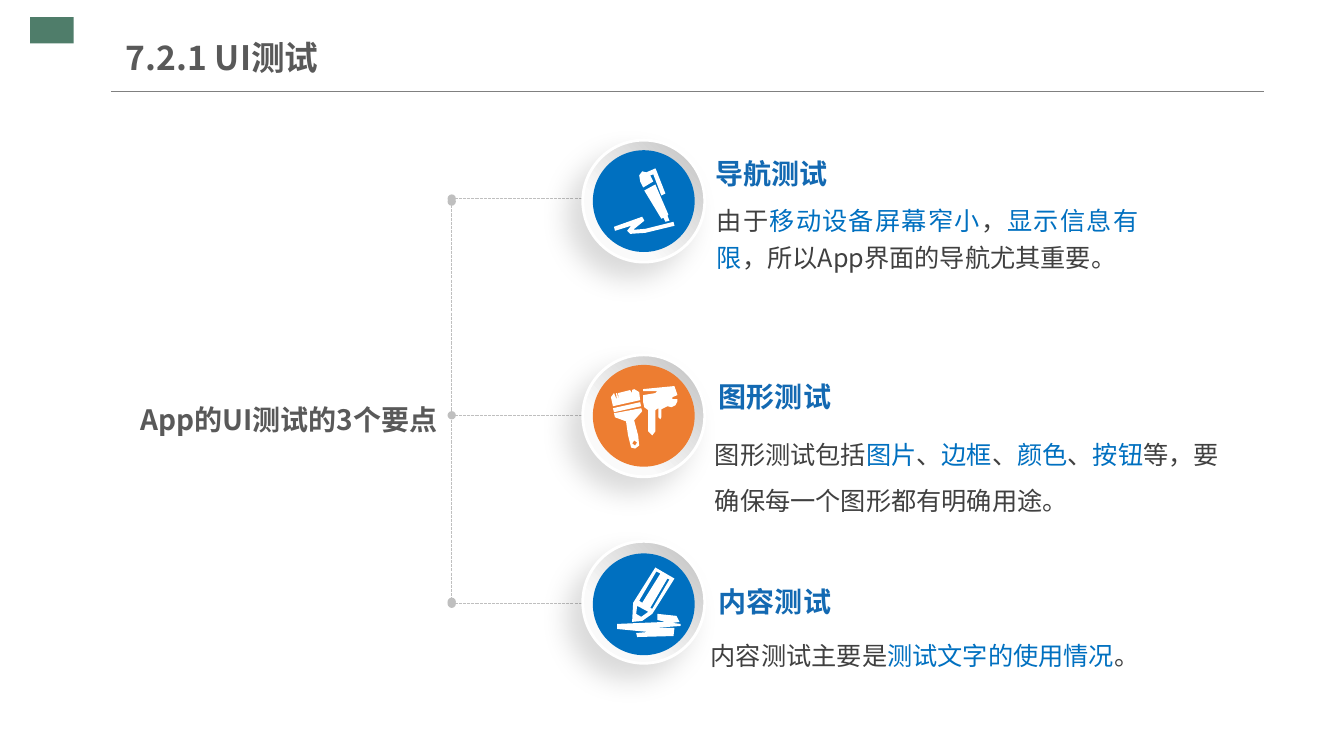
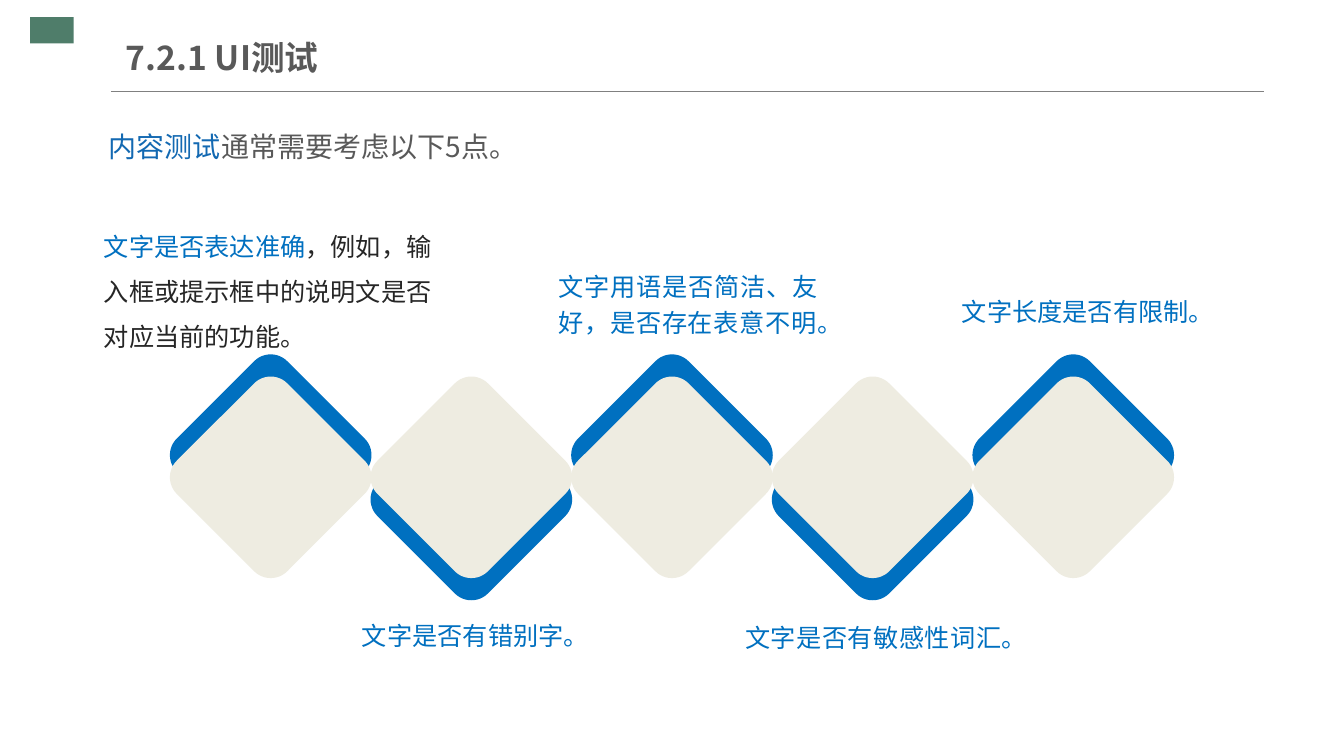
from dataclasses import dataclass

from lxml import etree
from pptx import Presentation
from pptx import util as u
from pptx.dml.color import RGBColor
from pptx.enum import dml, shapes, text
from pptx.oxml import ns

PX = 9144  # EMU per px, 100 px to the inch


@dataclass(frozen=True)
class Theme:
    font: str = "Noto Sans CJK SC"
    green: str = "4F7D6A"
    rule: str = "808080"
    dash: str = "BFBFBF"
    grey: str = "595959"
    body: str = "404040"
    dark: str = "262626"
    blue: str = "0070C0"
    heading: str = "1369B2"
    orange: str = "ED7D31"
    cream: str = "EEECE1"
    white: str = "FFFFFF"
    ring_end: str = "FAFAFA"
    title_size: int = 24
    heading_size: int = 20
    body_size: int = 18


T = Theme()

# ---- Content: icons are lists of outlines in px ----
PEN = [
    [(639, 189), (650, 183), (663, 213), (662, 214), (664, 219), (660, 220),
     (658, 216), (656, 217)],
    [(609, 225), (610, 229), (626, 224), (622, 229), (625, 232), (640, 231),
     (669, 224), (668, 220), (640, 227), (628, 228), (639, 219), (637, 215)],
    [(641, 171), (637, 170), (634, 174), (635, 180), (638, 186), (648, 180),
     (645, 174), (648, 173), (656, 194), (660, 192), (651, 169), (650, 167),
     (648, 168)],
]
BRUSHES = [
    [(656, 406), (656, 414), (655, 416), (653, 414), (653, 405), (650, 407),
     (650, 428), (647, 432), (643, 428), (643, 407), (639, 404), (638, 399),
     (638, 392), (650, 390), (652, 388), (638, 388), (638, 386), (669, 383),
     (672, 392), (667, 394), (667, 396), (672, 396), (672, 398), (670, 402),
     (666, 404), (662, 403)],
    [(608, 405), (635, 399), (636, 403), (609, 409)],
    [(636, 405), (609, 410), (610, 414), (621, 418), (623, 432), (626, 444),
     (630, 445), (634, 442), (633, 432), (629, 417), (637, 408)],
    [(629, 437), (632, 439), (630, 442), (627, 440)],
    [(635, 397), (634, 389), (629, 386), (627, 387), (627, 390), (625, 387),
     (613, 390), (614, 397), (612, 390), (611, 390), (612, 397), (609, 390),
     (606, 394), (608, 403)],
]
PENCIL = [
    [(650, 563), (669, 574), (647, 609), (637, 616), (627, 617), (628, 598)],
    [(668, 631), (669, 623), (648, 623), (675, 621), (675, 619), (667, 618),
     (674, 617), (671, 611), (652, 609), (652, 615), (660, 617), (612, 619),
     (612, 624), (643, 627), (631, 628), (632, 632)],
    [(636, 612), (643, 607), (632, 601), (631, 609)],
    [(662, 574), (645, 603), (647, 604), (664, 575)],
    [(651, 567), (634, 596), (637, 598), (655, 569)],
]

TITLE = "7.2.1 UI测试"
SUBJECT = "App的UI测试的3个要点"
POINTS = [
    dict(heading="导航测试", heading_at=(710, 139), line_y=197, ring_y=139,
         disc_y=149, color=T.blue, icon=PEN, body_box=(711, 198, 418, 73),
         spacing=1.2, align="JUSTIFY",
         body=[("由于", T.body), ("移动设备屏幕窄小", T.blue), ("，", T.body),
               ("显示信息有限", T.blue), ("，所以App界面的导航尤其重要。", T.body)]),
    dict(heading="图形测试", heading_at=(713, 360), line_y=412, ring_y=352,
         disc_y=362, color=T.orange, icon=BRUSHES, body_box=(709, 421, 506, 91),
         spacing=1.5, align="LEFT",
         body=[("图形测试包括", T.body), ("图片", T.blue), ("、", T.body),
               ("边框", T.blue), ("、", T.body), ("颜色", T.blue), ("、", T.body),
               ("按钮", T.blue), ("等，要确保每一个图形都有明确用途。", T.body)]),
    dict(heading="内容测试", heading_at=(713, 563), line_y=599, ring_y=537,
         disc_y=549, color=T.blue, icon=PENCIL, body_box=(705, 620, 453, 46),
         spacing=1.5, align="LEFT",
         body=[("内容测试主要是", T.body), ("测试文字的使用情况", T.blue),
               ("。", T.body)]),
]
SPINE_X, SPINE_ENDS, BRANCH_END = 448, (200, 597), 642
RING_X, RING, DISC = 578, 121, 101

INTRO = [("内容测试", T.heading), ("通常需要考虑以下5点。", T.grey)]
CHECKS = [  # box, line spacing, alignment, runs
    ((103, 214, 330, 136), 1.5, "LEFT",
     [("文字是否表达准确", T.blue),
      ("，例如，输入框或提示框中的说明文是否对应当前的功能。", T.dark)]),
    ((359, 609, 255, 33), 1.2, "JUSTIFY", [("文字是否有错别字。", T.blue)]),
    ((554, 263, 257, 72), 1.2, "JUSTIFY",
     [("文字用语是否简洁、友好，是否存在表意不明。", T.blue)]),
    ((739, 611, 255, 33), 1.2, "JUSTIFY", [("文字是否有敏感性词汇。", T.blue)]),
    ((954, 288, 255, 33), 1.2, "JUSTIFY", [("文字长度是否有限制。", T.blue)]),
]
TILE_X, TILE_Y, TILE, TILE_STEP, TILE_SHIFT = 191, 396, 155, 199, 22


# ---- Drawing helpers ----
def px(*lengths):
    return [u.Emu(n * PX) for n in lengths]


def rgb(color):
    return RGBColor.from_string(color)


def add_xml(parent, tag, **attributes):
    return etree.SubElement(parent, ns.qn(tag), attributes)


def paint(shape, color):
    shape.shadow.inherit = False
    shape.fill.solid()
    shape.fill.fore_color.rgb = rgb(color)
    shape.line.fill.background()


def add_block(slide, kind, box, color):
    block = slide.shapes.add_shape(kind, *px(*box))
    paint(block, color)
    return block


def add_line(slide, start, end, color, dotted=False):
    line = slide.shapes.add_connector(shapes.MSO_CONNECTOR.STRAIGHT,
                                      *px(*start, *end))
    line.line.color.rgb = rgb(color)
    line.line.width = u.Pt(0.75)
    if dotted:
        line.line.dash_style = dml.MSO_LINE.SQUARE_DOT
        stroke = line.line._get_or_add_ln()
        for tag in ("a:headEnd", "a:tailEnd"):
            add_xml(stroke, tag, type="oval")
    add_xml(line._element.spPr, "a:effectLst")


def add_text(slide, box, runs, size, bold=False, spacing=1.0, align="LEFT",
             anchor="TOP"):
    frame = slide.shapes.add_textbox(*px(*box)).text_frame
    frame.word_wrap = True
    frame.margin_left = frame.margin_right = 0
    frame.margin_top = frame.margin_bottom = 0
    frame.vertical_anchor = text.MSO_ANCHOR[anchor]
    paragraph = frame.paragraphs[0]
    paragraph.line_spacing = spacing
    paragraph.alignment = text.PP_ALIGN[align]
    for words, color in runs:
        run = paragraph.add_run()
        run.text = words
        run.font.size = u.Pt(size)
        run.font.bold = bold
        run.font.color.rgb = rgb(color)
        run.font.name = T.font
        add_xml(run._r.get_or_add_rPr(), "a:ea", typeface=T.font)


def add_ring(slide, top):
    ring = add_block(slide, shapes.MSO_SHAPE.OVAL, (RING_X, top, RING, RING),
                     T.white)
    ring.fill.gradient()
    ring.fill.gradient_angle = 225
    stops = ((0, T.dash), (0.7, T.ring_end))
    for stop, (position, color) in zip(ring.fill.gradient_stops, stops):
        stop.position = position
        stop.color.rgb = rgb(color)
    ring.line.color.rgb = rgb(T.white)
    ring.line.width = u.Pt(2)
    effects = ring._element.spPr.find(ns.qn("a:effectLst"))
    shadow = add_xml(effects, "a:outerShdw", blurRad=str(u.Pt(20)),
                     dist=str(u.Pt(15)), dir="8100000", algn="tr",
                     rotWithShape="0")
    black = add_xml(shadow, "a:srgbClr", val="000000")
    add_xml(black, "a:alpha", val="15000")


def add_icon(slide, outlines):
    builder = slide.shapes.build_freeform(*outlines[0][0], scale=PX)
    for number, (start, *rest) in enumerate(outlines):
        if number:
            builder.move_to(*start)
        builder.add_line_segments(rest, close=True)
    paint(builder.convert_to_shape(), T.white)


# ---- Slides ----
def new_slide(deck):
    slide = deck.slides.add_slide(deck.slide_layouts[6])
    add_block(slide, shapes.MSO_SHAPE.RECTANGLE, (30, 17, 43, 26), T.green)
    add_line(slide, (110, 91), (1254, 91), T.rule)
    add_text(slide, (125, 29, 426, 55), [(TITLE, T.grey)], T.title_size,
             bold=True, anchor="MIDDLE")
    return slide


def points_slide(deck):
    slide = new_slide(deck)
    # Bracket
    for point in POINTS:
        add_line(slide, (BRANCH_END, point["line_y"]),
                 (SPINE_X, point["line_y"]), T.dash, dotted=True)
    top, bottom = SPINE_ENDS
    add_line(slide, (SPINE_X, top), (SPINE_X, bottom), T.dash, dotted=True)
    add_text(slide, (139, 383, 303, 66), [(SUBJECT, T.grey)], T.heading_size,
             bold=True, spacing=1.5)
    # Badges and their texts
    disc_x = RING_X + (RING - DISC) // 2
    for point in POINTS:
        add_ring(slide, point["ring_y"])
        add_block(slide, shapes.MSO_SHAPE.OVAL,
                  (disc_x, point["disc_y"], DISC, DISC), point["color"])
        add_icon(slide, point["icon"])
        add_text(slide, (*point["heading_at"], 468, 51),
                 [(point["heading"], T.heading)], T.heading_size, bold=True,
                 spacing=1.5)
        add_text(slide, point["body_box"], point["body"], T.body_size,
                 spacing=point["spacing"], align=point["align"])


def checks_slide(deck):
    slide = new_slide(deck)
    add_text(slide, (108, 112, 500, 50), INTRO, T.heading_size, spacing=1.5,
             align="JUSTIFY")
    for number, (box, spacing, align, runs) in enumerate(CHECKS):
        # The blue tile peeks out towards its text: up, down, up ...
        shift = TILE_SHIFT if number % 2 else -TILE_SHIFT
        for top, color in ((TILE_Y + shift, T.blue), (TILE_Y, T.cream)):
            tile = add_block(slide, shapes.MSO_SHAPE.ROUNDED_RECTANGLE,
                             (TILE_X + number * TILE_STEP, top, TILE, TILE),
                             color)
            tile.adjustments[0] = 0.15
            tile.rotation = 315
        add_text(slide, box, runs, T.body_size, spacing=spacing, align=align)


def main():
    deck = Presentation()
    deck.slide_width, deck.slide_height = px(1333, 750)
    points_slide(deck)
    checks_slide(deck)
    deck.save("out.pptx")


if __name__ == "__main__":
    main()
